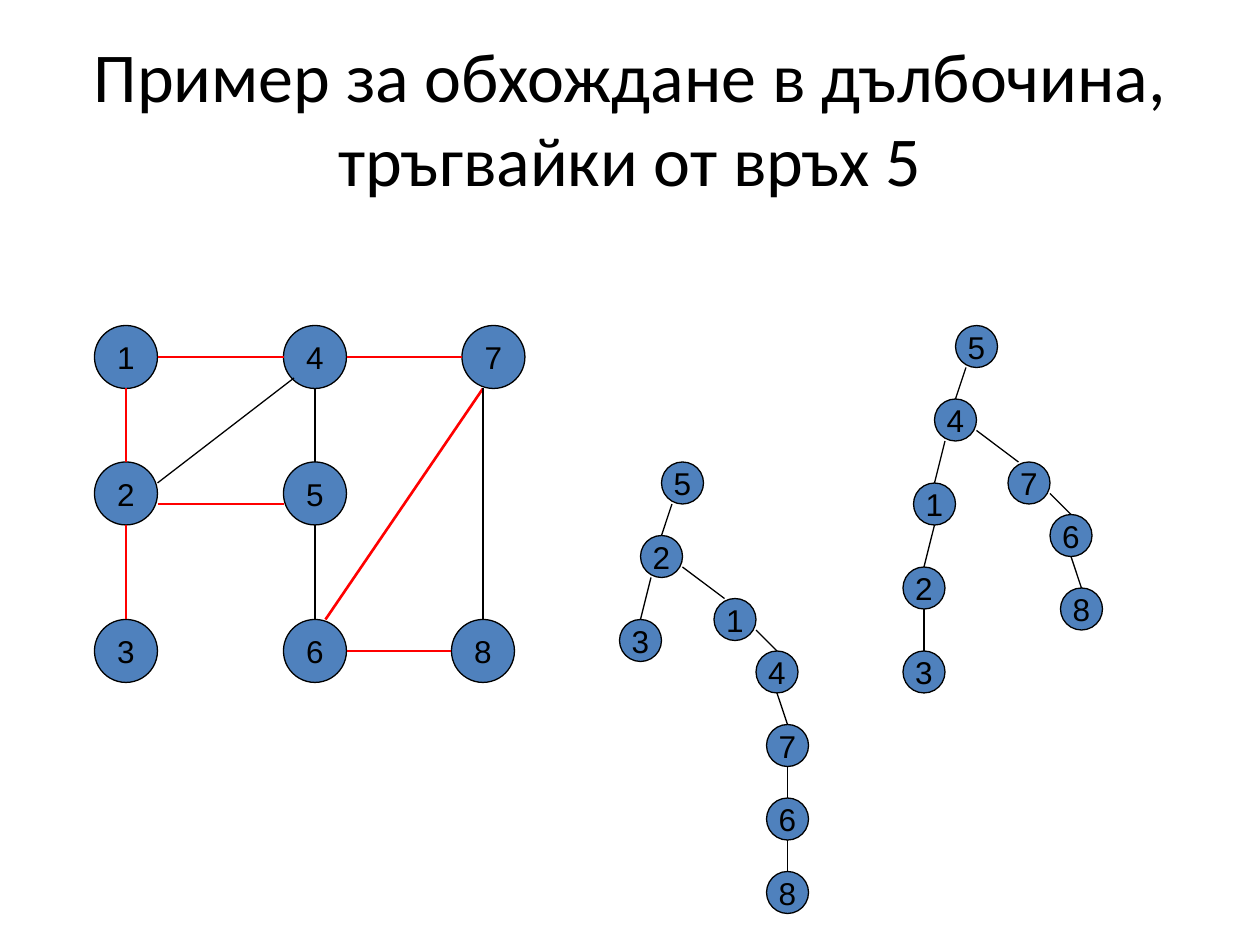
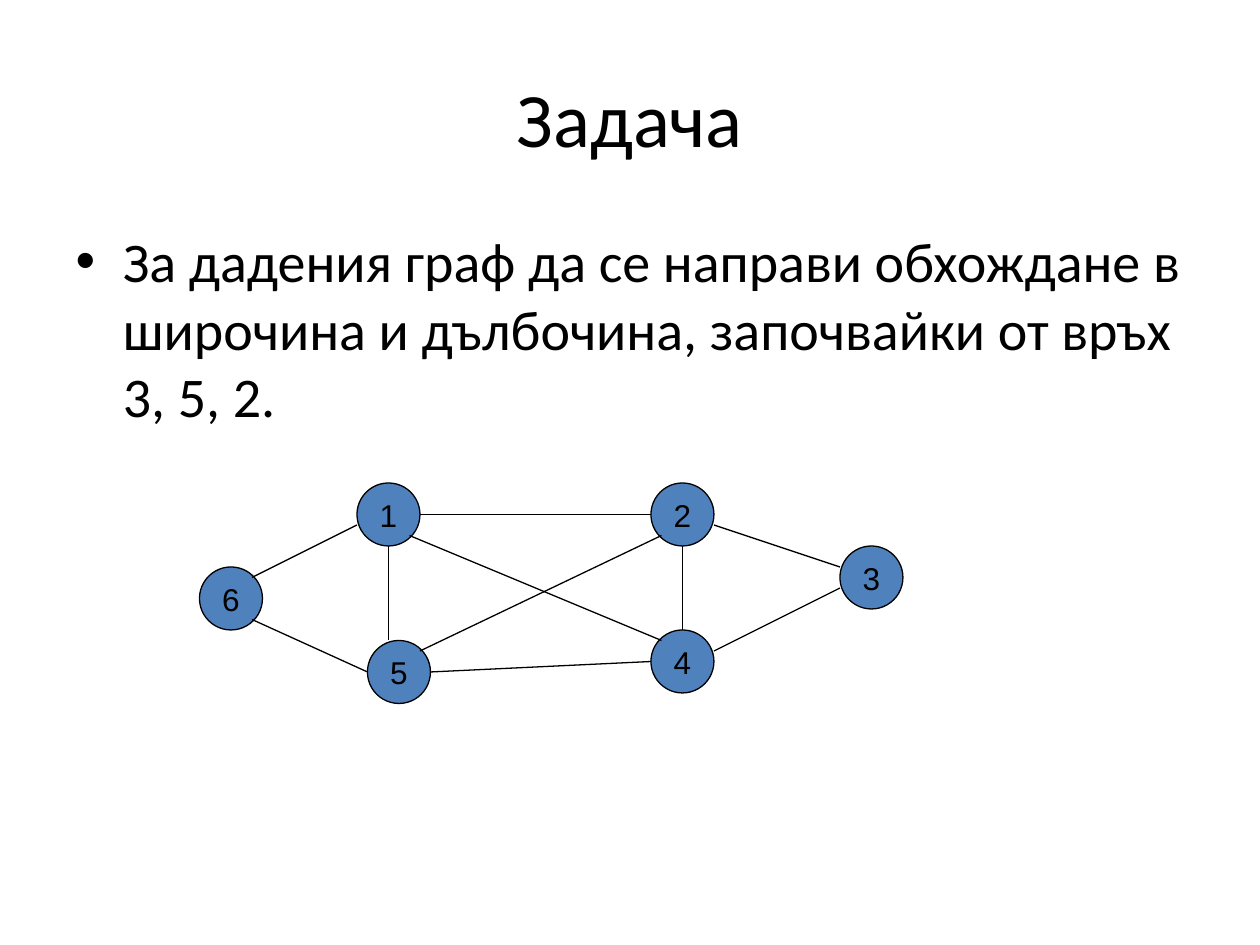
from dataclasses import dataclass
from typing import Any

import lxml.etree
import pptx
import pptx.dml.color
import pptx.enum.shapes
import pptx.enum.text
import pptx.oxml.ns
import pptx.util

Spot = tuple[float, float]

COLORS = {"ink": "000000", "node": "4F81BD", "route": "FF0000"}
CELL = pptx.util.Inches(10) // 120  # the slide is a grid of 120 by 90 cells
TITLE_BOX = (6, 3.6, 108, 15)
BODY_BOX = (6, 21, 108, 59.4)

# Places where edges meet a large node, in cells from its corner
TOP, LEFT, RIGHT, BASE = (3, 0), (0, 3), (6, 3), (3, 6)
# The same for a small tree node
TREE_TOP, TREE_BASE, TREE_SIDE = (2, 0), (2, 4), (4, 3)


@dataclass(frozen=True)
class Edge:
    start: str
    leave: Spot
    end: str
    enter: Spot
    route: bool = False


@dataclass(frozen=True)
class Graph:
    size: int
    nodes: dict[str, Spot]
    edges: list[Edge]


def cells(*counts: float) -> list[int]:
    return [round(count * CELL) for count in counts]


def color(name: str) -> pptx.dml.color.RGBColor:
    return pptx.dml.color.RGBColor.from_string(COLORS[name])


def style_text(par: Any, face: str, size: int) -> None:
    par.font.name = face
    par.font.size = pptx.util.Pt(size)
    par.font.color.rgb = color("ink")


def fill_holder(holder: Any, box: tuple, text: str, size: int) -> Any:
    """Move a placeholder and set its one paragraph."""
    holder.left, holder.top, holder.width, holder.height = cells(*box)
    frame = holder.text_frame
    frame.text = text
    frame.auto_size = pptx.enum.text.MSO_AUTO_SIZE.NONE
    style_text(frame.paragraphs[0], "Calibri", size)
    return frame


def add_slide(deck: Any, layout: int, title: str, size: int) -> Any:
    slide = deck.slides.add_slide(deck.slide_layouts[layout])
    frame = fill_holder(slide.shapes.title, TITLE_BOX, title, size)
    frame.vertical_anchor = pptx.enum.text.MSO_ANCHOR.MIDDLE
    frame.paragraphs[0].alignment = pptx.enum.text.PP_ALIGN.CENTER
    return slide


def draw_node(slide: Any, label: str, spot: Spot, size: int) -> None:
    oval = pptx.enum.shapes.MSO_SHAPE.OVAL
    node = slide.shapes.add_shape(oval, *cells(*spot, size, size))
    node.shadow.inherit = False
    node.fill.solid()
    node.fill.fore_color.rgb = color("node")
    node.line.color.rgb = color("ink")
    node.line.width = pptx.util.Pt(0.75)
    frame = node.text_frame
    frame.text = label
    frame.word_wrap = False
    frame.vertical_anchor = pptx.enum.text.MSO_ANCHOR.MIDDLE
    frame.paragraphs[0].alignment = pptx.enum.text.PP_ALIGN.CENTER
    style_text(frame.paragraphs[0], "Arial", 18)


def draw_edge(slide: Any, edge: Edge, nodes: dict[str, Spot]) -> None:
    (x1, y1), (x2, y2) = nodes[edge.start], nodes[edge.end]
    ends = cells(x1 + edge.leave[0], y1 + edge.leave[1],
                 x2 + edge.enter[0], y2 + edge.enter[1])
    kind = pptx.enum.shapes.MSO_CONNECTOR.STRAIGHT
    line = slide.shapes.add_connector(kind, *ends)
    line.line.color.rgb = color("route" if edge.route else "ink")
    line.line.width = pptx.util.Pt(1.5 if edge.route else 0.75)
    lxml.etree.SubElement(line._element.spPr, pptx.oxml.ns.qn("a:effectLst"))


def draw_graph(slide: Any, graph: Graph) -> None:
    for label, spot in graph.nodes.items():
        draw_node(slide, label, spot, graph.size)
    for edge in graph.edges:
        draw_edge(slide, edge, graph.nodes)


def make_tree(root: Spot, labels: str, tail: list[Spot], stem: str) -> Graph:
    """Six nodes in a fixed form, then a tail that hangs from the stem."""
    steps = [(0, 0), (-2, 7), (-4, 15), (5, 13), (9, 18), (10, 25), *tail]
    nodes = {label: (root[0] + x, root[1] + y)
             for label, (x, y) in zip(labels, steps)}
    top, hub, left, right, bend, leaf, *rest = labels
    edges = [
        Edge(top, (1, 4), hub, TREE_TOP),
        Edge(hub, (1, 4), left, TREE_TOP),
        Edge(hub, TREE_SIDE, right, (1, 0)),
        Edge(right, TREE_SIDE, bend, TREE_TOP),
        Edge(bend, TREE_BASE, leaf, TREE_TOP),
    ]
    chain = [stem, *rest]
    edges += [Edge(a, TREE_BASE, b, TREE_TOP) for a, b in zip(chain, chain[1:])]
    return Graph(4, nodes, edges)


# Graph walked in depth, with its route in red
WALK = Graph(
    6,
    {"1": (9, 31), "2": (9, 44), "3": (9, 59),
     "4": (27, 31), "5": (27, 44), "6": (27, 59),
     "7": (44, 31), "8": (43, 59)},
    [
        Edge("1", BASE, "2", TOP, True),
        Edge("2", BASE, "3", TOP, True),
        Edge("2", (6, 2), "4", (1, 5)),
        Edge("1", RIGHT, "4", LEFT, True),
        Edge("4", BASE, "5", TOP),
        Edge("5", BASE, "6", TOP),
        Edge("6", (4, 0), "7", (2, 6), True),
        Edge("7", (2, 6), "8", TOP),
        Edge("6", RIGHT, "8", LEFT, True),
        Edge("4", RIGHT, "7", LEFT, True),
        Edge("2", (6, 4), "5", (0, 4), True),
    ],
)
TREES = [
    make_tree((91, 31), "54176823", [(-5, 23), (-5, 31)], "1"),
    make_tree((63, 44), "52314768", [(10, 32), (10, 39)], "7"),
]

# Graph of the task
TASK = Graph(
    6,
    {"1": (34, 46), "2": (62, 46), "3": (80, 52),
     "4": (62, 60), "5": (35, 61), "6": (19, 54)},
    [
        Edge("5", RIGHT, "4", LEFT),
        Edge("3", (0, 4), "4", (6, 2)),
        Edge("1", RIGHT, "2", LEFT),
        Edge("2", (6, 4), "3", (0, 2)),
        Edge("2", BASE, "4", TOP),
        Edge("1", BASE, "5", (2, 0)),
        Edge("5", (5, 1), "2", (1, 5)),
        Edge("1", (5, 5), "4", (1, 1)),
        Edge("6", (5, 1), "1", (0, 4)),
        Edge("6", (5, 5), "5", LEFT),
    ],
)


def main() -> None:
    deck = pptx.Presentation()
    deck.slide_width, deck.slide_height = cells(120, 90)

    # Depth-first example
    slide = add_slide(
        deck, 5, "Пример за обхождане в дълбочина, тръгвайки от връх 5", 40)
    for graph in [WALK, *TREES]:
        draw_graph(slide, graph)

    # Task
    slide = add_slide(deck, 1, "Задача", 44)
    frame = fill_holder(
        slide.placeholders[1], BODY_BOX,
        "За дадения граф да се направи обхождане в широчина и дълбочина, "
        "започвайки от връх 3, 5, 2.", 32)
    frame.paragraphs[0].space_before = pptx.util.Pt(8)
    draw_graph(slide, TASK)

    deck.save("out.pptx")


if __name__ == "__main__":
    main()
